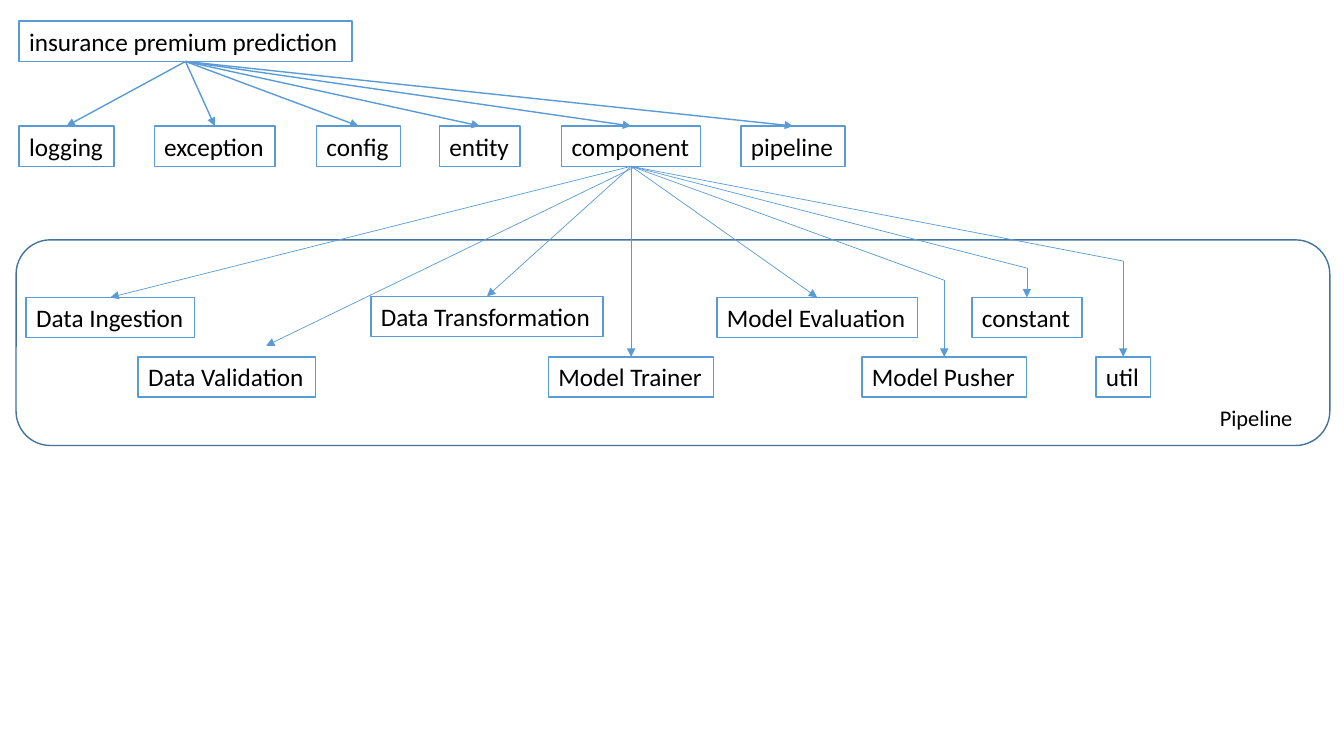
from dataclasses import dataclass
from itertools import pairwise

from lxml.etree import SubElement
from pptx import Presentation
from pptx.dml.color import RGBColor
from pptx.enum.shapes import MSO_CONNECTOR as CONN, MSO_SHAPE as SHAPE
from pptx.enum.text import MSO_AUTO_SIZE as AUTO
from pptx.oxml.ns import qn
from pptx.util import Inches, Pt

Point = tuple[float, float]


@dataclass(frozen=True)
class Theme:
    font: str = "Calibri"
    ink: RGBColor = RGBColor(0x00, 0x00, 0x00)
    paper: RGBColor = RGBColor(0xFF, 0xFF, 0xFF)
    blue: RGBColor = RGBColor(0x5B, 0x9B, 0xD5)
    frame: RGBColor = RGBColor(0x43, 0x73, 0x9E)
    box_size: Pt = Pt(18)
    caption_size: Pt = Pt(16)
    line: Pt = Pt(1)
    thin: Pt = Pt(0.5)


@dataclass(frozen=True)
class Box:
    text: str
    x: float
    y: float
    w: float
    h: float = 0.4

    @property
    def top(self) -> Point:
        return self.x + self.w / 2, self.y

    @property
    def bottom(self) -> Point:
        return self.x + self.w / 2, self.y + self.h


THEME = Theme()
PACKAGE_Y, UPPER_Y, LOWER_Y = 1.25, 2.95, 3.54

project = Box("insurance premium prediction", 0.19, 0.21, 3.3)
component = Box("component", 5.57, PACKAGE_Y, 1.38)
packages = [
    Box("logging", 0.19, PACKAGE_Y, 0.94),
    Box("exception", 1.53, PACKAGE_Y, 1.2),
    Box("config", 3.14, PACKAGE_Y, 0.83),
    Box("entity", 4.36, PACKAGE_Y, 0.8),
    component,
    Box("pipeline", 7.35, PACKAGE_Y, 1.03),
]
ingestion = Box("Data Ingestion", 0.26, UPPER_Y, 1.67)
validation = Box("Data Validation", 1.37, LOWER_Y, 1.76)
transformation = Box("Data Transformation", 3.68, 2.94, 2.3)
trainer = Box("Model Trainer", 5.44, LOWER_Y, 1.64)
evaluation = Box("Model Evaluation", 7.11, UPPER_Y, 1.99)
pusher = Box("Model Pusher", 8.55, LOWER_Y, 1.63)
constant = Box("constant", 9.64, UPPER_Y, 1.09)
util = Box("util", 10.87, LOWER_Y, 0.54)
stages = [ingestion, validation, transformation, trainer,
          evaluation, pusher, constant, util]
direct_stages = [ingestion, transformation, trainer, evaluation]
bend_heights = [(pusher, 2.78), (constant, 2.66), (util, 2.59)]

prs = Presentation()
prs.slide_width, prs.slide_height = Inches(13.33), Inches(7.5)
s = prs.slides.add_slide(prs.slide_layouts[6])


def add_label(box: Box, size: Pt, framed: bool = True) -> None:
    sp = s.shapes.add_textbox(*map(Inches, (box.x, box.y, box.w, box.h)))
    if framed:
        sp.fill.solid()
        sp.fill.fore_color.rgb = THEME.paper
        sp.line.color.rgb = THEME.blue
        sp.line.width = THEME.line
    tf = sp.text_frame
    tf.text = box.text
    tf.word_wrap = False
    tf.auto_size = AUTO.SHAPE_TO_FIT_TEXT
    font = tf.paragraphs[0].runs[0].font
    font.name, font.size = THEME.font, size
    font.color.rgb = THEME.ink


def add_arrow(points: list[Point], width: Pt) -> None:
    for start, end in pairwise(points):
        line = s.shapes.add_connector(CONN.STRAIGHT, *map(Inches, start + end))
        line.line.color.rgb = THEME.blue
        line.line.width = width
        if end == points[-1]:
            SubElement(line.line._get_or_add_ln(), qn("a:tailEnd"), type="triangle")
        SubElement(line._element.spPr, qn("a:effectLst"))


def add_pipeline_frame() -> None:
    sp = s.shapes.add_shape(SHAPE.ROUNDED_RECTANGLE,
                            *map(Inches, (0.16, 2.38, 13.03, 2.04)))
    sp.shadow.inherit = False
    sp.fill.background()
    sp.line.color.rgb = THEME.frame
    sp.line.width = THEME.line


for box in [project, *packages, *stages]:
    add_label(box, THEME.box_size)
add_pipeline_frame()
add_label(Box("Pipeline", 12, 3.96, 0.93, 0.37), THEME.caption_size, framed=False)

for package in packages:
    add_arrow([project.bottom, package.top], THEME.line)
for stage in direct_stages:
    add_arrow([component.bottom, stage.top], THEME.thin)
add_arrow([(6.29, 1.66), (2.64, 3.43)], THEME.thin)
for stage, bend_y in bend_heights:
    add_arrow([component.bottom, (stage.top[0], bend_y), stage.top], THEME.thin)

prs.save("out.pptx")
